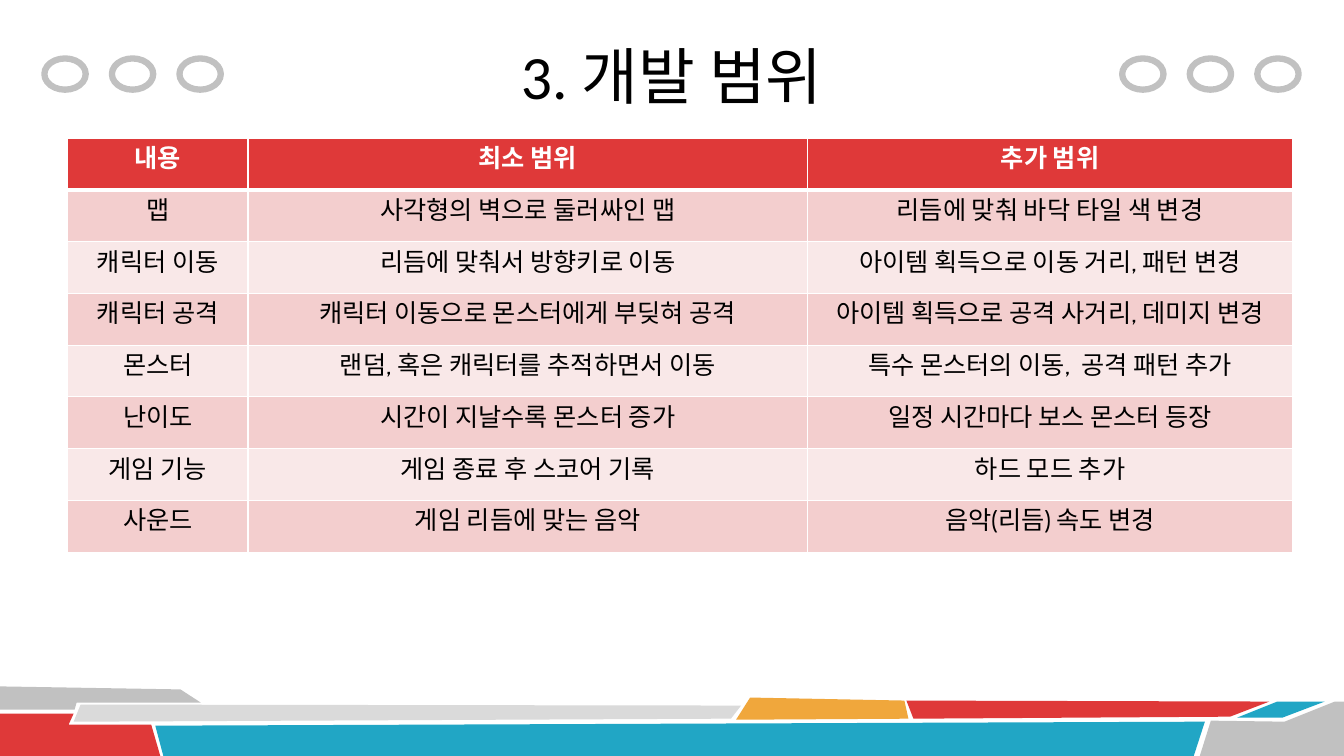
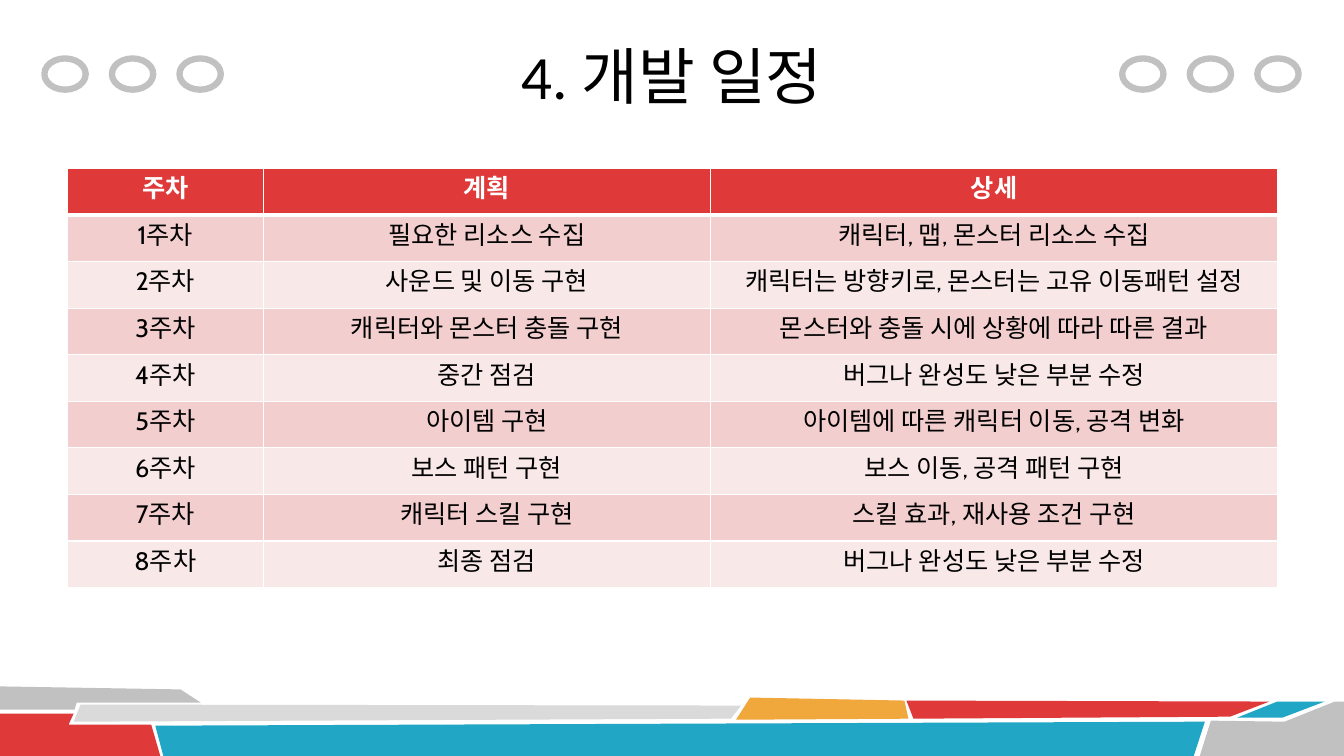
from dataclasses import dataclass

import pptx
import pptx.dml.color
import pptx.enum.shapes
import pptx.enum.text
import pptx.oxml
import pptx.oxml.ns
import pptx.util
from pptx.util import Inches


@dataclass(frozen=True)
class Theme:
    red: str = "DF3939"
    blue: str = "21A6C5"
    orange: str = "F0A73C"
    gray: str = "C1C1C1"
    light_gray: str = "DADADA"
    dark_band: str = "F3CECE"
    light_band: str = "F9E8E8"
    white: str = "FFFFFF"
    black: str = "000000"
    title_font: str = "Calibri"
    table_font: str = "Cabin"
    title_size: float = 44
    table_size: float = 18
    ring_width: float = 4.5
    border: float = 1
    header_border: float = 3


THEME = Theme()

FOOTER_PIECES = [
    (THEME.gray, [(0, 6.81), (1.79, 6.84), (1.99, 6.97), (0.76, 6.97), (0.74, 7.04), (0, 7.04)]),
    (THEME.red, [(0, 7.08), (0.73, 7.08), (0.68, 7.19), (1.5, 7.19), (1.59, 7.5), (0, 7.5)]),
    (THEME.light_gray, [(0.8, 6.99), (7.35, 7), (7.25, 7.13), (0.73, 7.16)]),
    (THEME.blue, [(1.54, 7.2), (11.95, 7.16), (11.84, 7.5), (1.62, 7.5)]),
    (THEME.orange, [(7.44, 6.92), (8.97, 6.95), (9.01, 7.13), (7.3, 7.14)]),
    (THEME.red, [(8.99, 6.95), (12.59, 6.96), (12.2, 7.11), (9.06, 7.13)]),
    (THEME.blue, [(12.67, 6.96), (13.14, 6.96), (12.72, 7.12), (12.27, 7.12)]),
    (THEME.gray, [(12.01, 7.15), (12.74, 7.16), (13.24, 6.96), (13.33, 6.96), (13.33, 7.5), (11.9, 7.5)]),
]

SCOPE_ROWS = [
    ("내용", "최소 범위", "추가 범위"),
    ("맵", "사각형의 벽으로 둘러싸인 맵", "리듬에 맞춰 바닥 타일 색 변경"),
    ("캐릭터 이동", "리듬에 맞춰서 방향키로 이동", "아이템 획득으로 이동 거리, 패턴 변경"),
    ("캐릭터 공격", "캐릭터 이동으로 몬스터에게 부딪혀 공격", "아이템 획득으로 공격 사거리, 데미지 변경"),
    ("몬스터", "랜덤, 혹은 캐릭터를 추적하면서 이동", "특수 몬스터의 이동,  공격 패턴 추가"),
    ("난이도", "시간이 지날수록 몬스터 증가", "일정 시간마다 보스 몬스터 등장"),
    ("게임 기능", "게임 종료 후 스코어 기록", "하드 모드 추가"),
    ("사운드", "게임 리듬에 맞는 음악", "음악(리듬) 속도 변경"),
]

SCHEDULE_ROWS = [
    ("주차", "계획", "상세"),
    ("1주차", "필요한 리소스 수집", "캐릭터, 맵, 몬스터 리소스 수집"),
    ("2주차", "사운드 및 이동 구현", "캐릭터는 방향키로, 몬스터는 고유 이동패턴 설정"),
    ("3주차", "캐릭터와 몬스터 충돌 구현", "몬스터와 충돌 시에 상황에 따라 따른 결과"),
    ("4주차", "중간 점검", "버그나 완성도 낮은 부분 수정"),
    ("5주차", "아이템 구현", "아이템에 따른 캐릭터 이동, 공격 변화"),
    ("6주차", "보스 패턴 구현", "보스 이동, 공격 패턴 구현"),
    ("7주차", "캐릭터 스킬 구현", "스킬 효과, 재사용 조건 구현"),
    ("8주차", "최종 점검", "버그나 완성도 낮은 부분 수정"),
]


def color(value):
    return pptx.dml.color.RGBColor.from_string(value)


def write_text(text_frame, text, *, font, size, fill, bold=False):
    paragraph = text_frame.paragraphs[0]
    paragraph.alignment = pptx.enum.text.PP_ALIGN.CENTER
    run = paragraph.add_run()
    run.text = text
    run.font.name = font
    run.font.size = pptx.util.Pt(size)
    run.font.bold = bold
    run.font.color.rgb = color(fill)
    east_asian = pptx.oxml.parse_xml(f'<a:ea {pptx.oxml.ns.nsdecls("a")} typeface="{font}"/>')
    run.font._element.find(pptx.oxml.ns.qn("a:latin")).addnext(east_asian)


def set_borders(cell, top, bottom):
    properties = cell._tc.get_or_add_tcPr()
    widths = {"lnL": THEME.border, "lnR": THEME.border, "lnT": top, "lnB": bottom}
    for position, (side, width) in enumerate(widths.items()):
        line = pptx.oxml.parse_xml(
            f'<a:{side} {pptx.oxml.ns.nsdecls("a")} w="{pptx.util.Pt(width)}">'
            f'<a:solidFill><a:srgbClr val="{THEME.white}"/></a:solidFill></a:{side}>'
        )
        properties.insert(position, line)


class Deck:
    def __init__(self):
        self.presentation = pptx.Presentation()
        self.presentation.slide_width = Inches(13.33)
        self.presentation.slide_height = Inches(7.5)
        self.slide = None

    def add_slide(self, title):
        self.slide = self.presentation.slides.add_slide(self.presentation.slide_layouts[6])
        for fill, points in FOOTER_PIECES:
            self.add_polygon(fill, points)
        for group_left in (0.44, 11.13):
            for index in range(3):
                self.add_ring(group_left + 0.67 * index, 0.58)
        self.add_title(title)

    def add_polygon(self, fill, points):
        start, *corners = [(Inches(x), Inches(y)) for x, y in points]
        builder = self.slide.shapes.build_freeform(*start)
        builder.add_line_segments(corners, close=True)
        shape = builder.convert_to_shape()
        shape.shadow.inherit = False
        shape.fill.solid()
        shape.fill.fore_color.rgb = color(fill)
        shape.line.fill.background()

    def add_ring(self, left, top):
        shape = self.slide.shapes.add_shape(
            pptx.enum.shapes.MSO_SHAPE.OVAL, Inches(left), Inches(top), Inches(0.41), Inches(0.31)
        )
        shape.shadow.inherit = False
        shape.fill.background()
        shape.line.color.rgb = color(THEME.gray)
        shape.line.width = pptx.util.Pt(THEME.ring_width)

    def add_title(self, text):
        shape = self.slide.shapes.add_textbox(Inches(2.33), Inches(0.12), Inches(8.67), Inches(1.25))
        text_frame = shape.text_frame
        text_frame.word_wrap = True
        text_frame.vertical_anchor = pptx.enum.text.MSO_ANCHOR.MIDDLE
        write_text(text_frame, text, font=THEME.title_font, size=THEME.title_size, fill=THEME.black)

    def add_table(self, rows, *, top, column_widths, height):
        table = self.slide.shapes.add_table(
            len(rows), len(column_widths), Inches(0.67), Inches(top),
            Inches(sum(column_widths)), Inches(height),
        ).table
        for column, width in zip(table.columns, column_widths):
            column.width = Inches(width)
        for row_index, row in enumerate(rows):
            header = row_index == 0
            band = THEME.dark_band if row_index % 2 else THEME.light_band
            for column_index, text in enumerate(row):
                cell = table.cell(row_index, column_index)
                cell.fill.solid()
                cell.fill.fore_color.rgb = color(THEME.red if header else band)
                set_borders(
                    cell,
                    top=THEME.header_border if row_index == 1 else THEME.border,
                    bottom=THEME.header_border if header else THEME.border,
                )
                write_text(
                    cell.text_frame, text, font=THEME.table_font, size=THEME.table_size,
                    fill=THEME.white if header else THEME.black, bold=header,
                )


def main():
    deck = Deck()
    deck.add_slide("3. 개발 범위")
    deck.add_table(SCOPE_ROWS, top=1.37, column_widths=(1.79, 5.55, 4.81), height=4.11)
    deck.add_slide("4. 개발 일정")
    deck.add_table(SCHEDULE_ROWS, top=1.67, column_widths=(1.94, 4.44, 5.62), height=4.16)
    deck.presentation.save("out.pptx")


if __name__ == "__main__":
    main()
